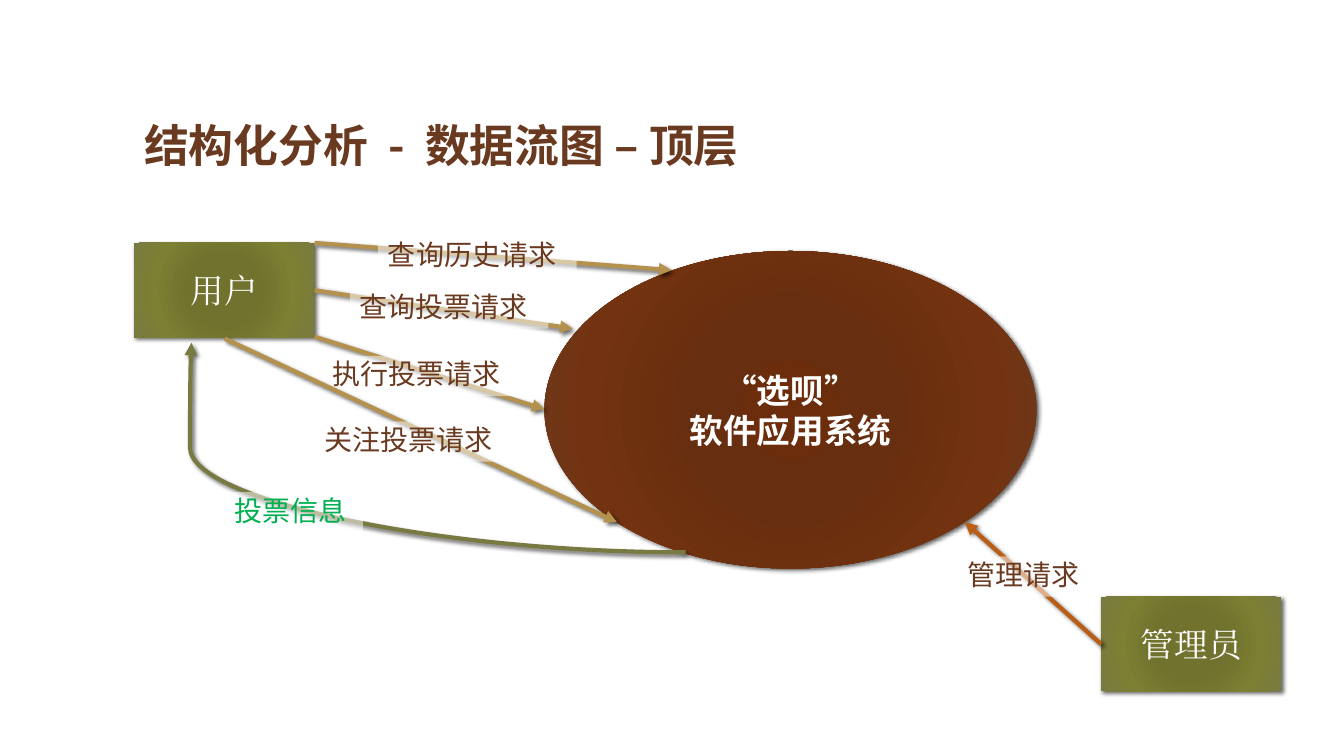
from dataclasses import dataclass

from lxml.etree import SubElement
from pptx import Presentation
from pptx.dml.color import RGBColor
from pptx.enum.shapes import MSO_CONNECTOR as LINE, MSO_SHAPE as SHAPE
from pptx.enum.text import MSO_ANCHOR as ANCHOR, MSO_AUTO_SIZE as AUTO, PP_ALIGN as ALIGN
from pptx.oxml.ns import qn
from pptx.util import Inches, Pt


@dataclass(frozen=True)
class Theme:
    brown: str = "6A3A20"
    white: str = "FFFFFF"
    gold: str = "B4914C"
    olive: str = "787A41"
    orange: str = "B95E14"
    green: str = "00B050"
    shadow: str = "000000"
    system_fill: tuple = ((0, "6B2D0C"), (34, "672E0F"), (70, "733310"), (100, "6A3A20"))
    actor_fill: tuple = ((0, "72752B"), (34, "70722E"), (70, "7D7F33"), (100, "787A41"))
    sans: str = "Noto Sans CJK SC"
    serif: str = "TeX Gyre Pagella"
    title_size: int = 32
    node_size: int = 24
    label_size: int = 20
    line_width: int = 3


T = Theme()

# Title runs: text, extra letter spacing in points
TITLE_BOX = (1.33, 0.47, 10.66, 1.28)
TITLE = [("结构化分析", 0), (" ", 7), ("-", 0), (" ", 7), ("数据流图 – 顶层", 0)]

# Nodes: shape, box, lines, fill, font, bold
ACTOR_SIZE = (1.79, 0.94)
NODES = [
    (SHAPE.OVAL, (5.4, 2.49, 4.88, 3.15), ["“选呗”", "软件应用系统"], T.system_fill, T.sans, True),
    (SHAPE.RECTANGLE, (1.33, 2.41, *ACTOR_SIZE), ["用户"], T.actor_fill, T.serif, False),
    (SHAPE.RECTANGLE, (10.92, 5.92, *ACTOR_SIZE), ["管理员"], T.actor_fill, T.serif, False),
]

# Flows: kind, start, end, line colour, label, label left, top and width, label colour
FLOWS = [
    (LINE.STRAIGHT, (3.12, 2.88), (5.68, 3.26), T.gold, "查询投票请求", (3.47, 2.86, 1.97), T.brown),
    (LINE.STRAIGHT, (3.12, 3.34), (5.4, 4.06), T.gold, "执行投票请求", (3.2, 3.53, 1.97), T.brown),
    (LINE.STRAIGHT, (3.12, 2.41), (6.66, 2.68), T.gold, "查询历史请求", (3.75, 2.34, 1.97), T.brown),
    (LINE.STRAIGHT, (2.23, 3.36), (6.12, 5.18), T.gold, "关注投票请求", (3.12, 4.18, 1.97), T.brown),
    (LINE.CURVE, (6.8, 5.48), (1.9, 3.4), T.olive, "投票信息", (2.23, 4.88, 1.37), T.green),
    (LINE.STRAIGHT, (10.92, 6.39), (9.57, 5.18), T.orange, "管理请求", (9.5, 5.52, 1.34), T.brown),
]
LABEL_HEIGHT = 0.4
CURVE_BEND = 100300


def rgb(color):
    return RGBColor.from_string(color)


def add_color(parent, color, alpha=None):
    clr = SubElement(parent, qn("a:srgbClr"), val=color)
    if alpha is not None:
        SubElement(clr, qn("a:alpha"), val=str(alpha * 1000))


def add_shadow(s):
    effects = SubElement(s._element.spPr, qn("a:effectLst"))
    shadow = SubElement(effects, qn("a:outerShdw"), blurRad=str(Pt(3)), dist=str(Pt(2)),
                        dir=str(45 * 60000), algn="tl", rotWithShape="0")
    add_color(shadow, T.shadow, 60)


def add_radial_fill(s, stops):
    spPr = s._element.spPr
    grad = SubElement(spPr, qn("a:gradFill"), rotWithShape="1")
    gs_list = SubElement(grad, qn("a:gsLst"))
    for pos, color in stops:
        add_color(SubElement(gs_list, qn("a:gs"), pos=str(pos * 1000)), color)
    circle = SubElement(grad, qn("a:path"), path="circle")
    SubElement(circle, qn("a:fillToRect"), {side: "100000" for side in "ltrb"})
    spPr.find(qn("a:prstGeom")).addnext(grad)


def add_run(p, text, size, color, font=T.sans, bold=False):
    r = p.add_run()
    r.text = text
    f = r.font
    f.size, f.bold, f.name = Pt(size), bold, font
    f.color.rgb = rgb(color)
    SubElement(r._r.get_or_add_rPr(), qn("a:ea"), typeface=font)
    return r


def add_title(slide):
    s = slide.shapes.title
    s.left, s.top, s.width, s.height = map(Inches, TITLE_BOX)
    tf = s.text_frame
    tf.vertical_anchor = ANCHOR.BOTTOM
    tf.auto_size = AUTO.NONE
    p = tf.paragraphs[0]
    p.alignment = ALIGN.LEFT
    for text, spacing in TITLE:
        r = add_run(p, text, T.title_size, T.brown, bold=True)
        if spacing:
            r._r.get_or_add_rPr().set("spc", str(spacing * 100))


def add_node(slide, kind, box, lines, stops, font, bold):
    s = slide.shapes.add_shape(kind, *map(Inches, box))
    s.line.fill.background()
    add_radial_fill(s, stops)
    add_shadow(s)
    tf = s.text_frame
    tf.word_wrap = True
    tf.vertical_anchor = ANCHOR.MIDDLE
    for i, text in enumerate(lines):
        p = tf.add_paragraph() if i else tf.paragraphs[0]
        p.alignment = ALIGN.CENTER
        add_run(p, text, T.node_size, T.white, font, bold)


def add_arrow(slide, kind, start, end, color):
    s = slide.shapes.add_connector(kind, *map(Inches, start + end))
    s.line.color.rgb = rgb(color)
    s.line.width = Pt(T.line_width)
    SubElement(s.line._get_or_add_ln(), qn("a:tailEnd"), type="triangle")
    add_shadow(s)
    if kind == LINE.CURVE:
        guides = s._element.spPr.find(qn("a:prstGeom")).find(qn("a:avLst"))
        SubElement(guides, qn("a:gd"), name="adj1", fmla=f"val {CURVE_BEND}")


def add_label(slide, text, place, color):
    s = slide.shapes.add_textbox(*map(Inches, (*place, LABEL_HEIGHT)))
    s.fill.solid()
    s.fill.fore_color.rgb = rgb(T.white)
    white = s._element.spPr.find(qn("a:solidFill"))[0]
    SubElement(white, qn("a:alpha"), val="50000")
    tf = s.text_frame
    tf.word_wrap = True
    tf.auto_size = AUTO.SHAPE_TO_FIT_TEXT
    p = tf.paragraphs[0]
    p.line_spacing = 0.9
    add_run(p, text, T.label_size, color)


def main():
    prs = Presentation()
    prs.slide_width, prs.slide_height = Inches(13.33), Inches(7.5)
    slide = prs.slides.add_slide(prs.slide_layouts[5])
    add_title(slide)
    for node in NODES:
        add_node(slide, *node)
    for kind, start, end, color, text, place, text_color in FLOWS:
        add_arrow(slide, kind, start, end, color)
        add_label(slide, text, place, text_color)
    prs.save("out.pptx")


if __name__ == "__main__":
    main()
